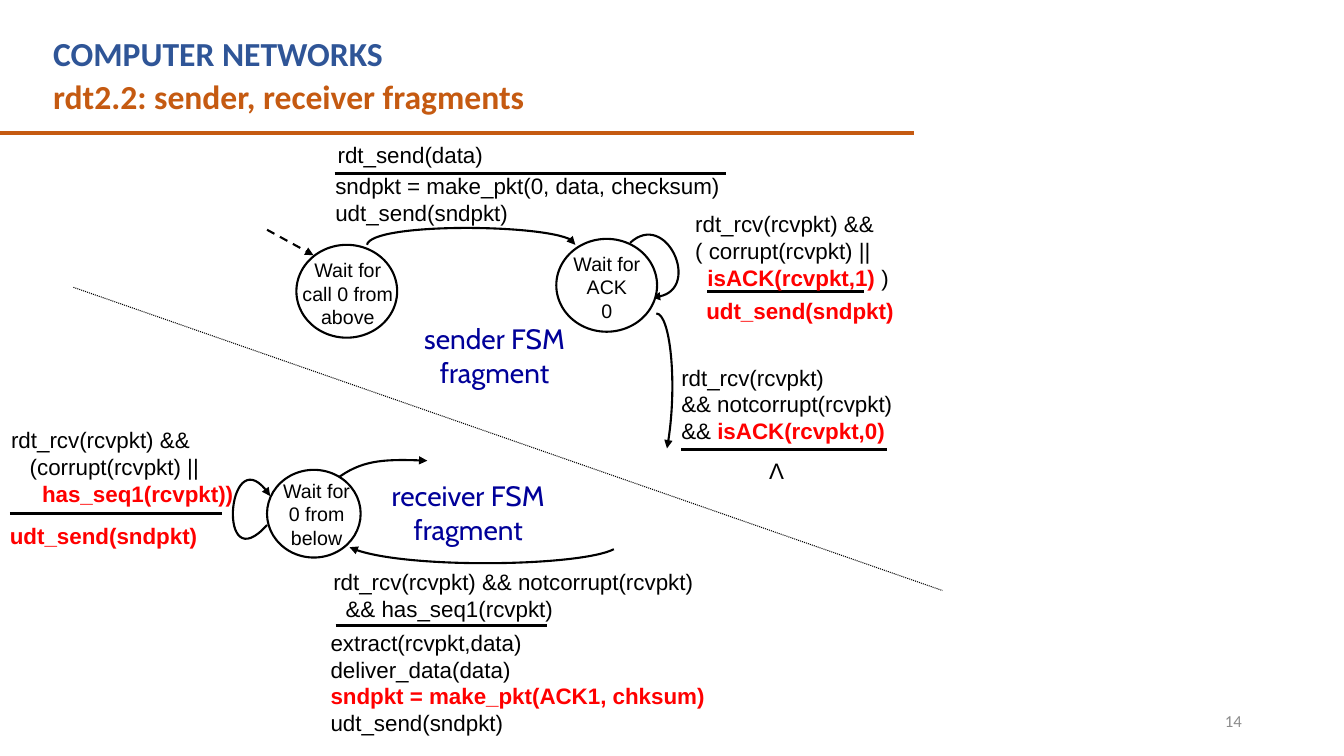
"""Build the rdt2.2 sender and receiver state machine slide."""
from dataclasses import dataclass

from lxml import etree
from pptx import Presentation
from pptx.dml.color import RGBColor
from pptx.enum.dml import MSO_LINE
from pptx.enum.shapes import MSO_CONNECTOR, MSO_SHAPE
from pptx.enum.text import MSO_ANCHOR, PP_ALIGN
from pptx.oxml.ns import qn
from pptx.util import Cm, Pt

LEFT, CENTER, RIGHT = PP_ALIGN.LEFT, PP_ALIGN.CENTER, PP_ALIGN.RIGHT
TOP, MIDDLE = MSO_ANCHOR.TOP, MSO_ANCHOR.MIDDLE
DASH, DOTS = MSO_LINE.DASH, MSO_LINE.ROUND_DOT
STRAIGHT, OVAL = MSO_CONNECTOR.STRAIGHT, MSO_SHAPE.OVAL


@dataclass(frozen=True)
class Theme:
    black: RGBColor = RGBColor(0, 0, 0)
    white: RGBColor = RGBColor(255, 255, 255)
    red: RGBColor = RGBColor(255, 0, 0)
    navy: RGBColor = RGBColor(0, 0, 0x99)
    blue: RGBColor = RGBColor(0x2F, 0x55, 0x97)
    orange: RGBColor = RGBColor(0xC5, 0x5A, 0x11)
    gray: RGBColor = RGBColor(0x8C, 0x8C, 0x8C)
    heading: Pt = Pt(24)
    caption: Pt = Pt(20)
    code: Pt = Pt(16)
    state: Pt = Pt(14)
    number: Pt = Pt(12)
    hairline: Pt = Pt(0.75)
    outline: Pt = Pt(1.5)
    bar: Pt = Pt(2.25)
    rule: Pt = Pt(3)


theme = Theme()
STYLES = {
    "course": ({"name": "Calibri", "size": theme.heading, "bold": True}, theme.blue, LEFT, TOP),
    "title": ({"name": "Calibri", "size": theme.heading, "bold": True}, theme.orange, LEFT, TOP),
    "code": ({"name": "Arial", "size": theme.code, "bold": False}, theme.black, LEFT, TOP),
    "symbol": ({"name": "Arial", "size": theme.code, "bold": False}, theme.black, CENTER, TOP),
    "state": ({"name": "Arial", "size": theme.state, "bold": False}, theme.black, CENTER, TOP),
    "caption": ({"name": "Cabin", "size": theme.caption, "bold": False}, theme.navy, CENTER, TOP),
    "number": ({"name": "Calibri", "size": theme.number, "bold": False}, theme.gray, RIGHT, MIDDLE),
}


def draw_line(shape, color, width, dash=None, arrow=False):
    """Format an outline, with an optional dash and arrowhead at its end."""
    shape.line.color.rgb = color
    for name, value in {"width": width, "dash_style": dash}.items():
        setattr(shape.line, name, value)
    if arrow:
        etree.SubElement(shape.line._get_or_add_ln(), qn("a:tailEnd"), type="triangle")


def add_label(page, style, frame, lines):
    """Write (indent, text) lines; text between asterisks is bold red."""
    font_values, color, align, anchor = STYLES[style]
    box = page.shapes.add_textbox(*map(Cm, frame))
    box.text_frame.word_wrap = True
    box.text_frame.vertical_anchor = anchor
    for row, (indent, text) in enumerate(lines):
        para = box.text_frame.paragraphs[0] if row == 0 else box.text_frame.add_paragraph()
        para.alignment = align
        if indent:
            para._p.get_or_add_pPr().set("marL", str(Cm(indent)))
        for part, words in enumerate(text.split("*")):
            if not words:
                continue
            span = para.add_run()
            span.text = words
            for name, value in font_values.items():
                setattr(span.font, name, value)
            span.font.color.rgb = color
            if part % 2:
                span.font.bold = True
                span.font.color.rgb = theme.red


deck = Presentation()
deck.slide_width, deck.slide_height = Cm(33.87), Cm(19.05)
page = deck.slides.add_slide(deck.slide_layouts[6])

action_bars = [
    (8.43, 18.29, 4.37),
    (17.83, 21.77, 7.34),
    (17.17, 22.35, 11.33),
    (8.46, 13.79, 15.77),
    (0.25, 5.59, 12.95),
]
lines = [((left, y, right, y), (theme.black, theme.bar)) for left, right, y in action_bars]
lines += [
    ((0, 3.35, 23.04, 3.35), (theme.orange, theme.rule)),
    ((6.73, 5.79, 7.9, 6.43), (theme.black, theme.outline, DASH, True)),
    ((1.85, 7.24, 23.75, 14.88), (theme.black, theme.hairline, DOTS)),
]
for ends, line_format in lines:
    connector = page.shapes.add_connector(STRAIGHT, *map(Cm, ends))
    draw_line(connector, *line_format)
    etree.SubElement(connector._element.spPr, qn("a:effectLst"))

transitions = [
    [(9.25, 6.17), (9.35, 5.61), (14.5, 5.64), (14.5, 6.17)],
    [(15.88, 6.12), (16.79, 5.28), (17.78, 7.47), (16.43, 7.49)],
    [(16.54, 7.9), (16.89, 7.9), (17.09, 9.78), (16.81, 11.3)],
    [(8.48, 12.07), (9.09, 11.61), (9.7, 11.56), (10.77, 11.61)],
    [(15.47, 13.84), (14.63, 14.27), (9.98, 14.35), (8.81, 13.79)],
    [(6.73, 13.23), (5.46, 14.66), (5.74, 10.87), (6.81, 12.5)],
]
for transition in transitions:
    start, *controls = [(Cm(x), Cm(y)) for x, y in transition]
    builder = page.shapes.build_freeform(*start)
    builder.add_line_segments(controls, close=False)
    arc = builder.convert_to_shape()
    arc.shadow.inherit = False
    arc.fill.background()
    draw_line(arc, theme.black, theme.outline, arrow=True)
    outline = arc._element.find(".//" + qn("a:path"))
    segments = outline.findall(qn("a:lnTo"))
    bezier = etree.SubElement(outline, qn("a:cubicBezTo"))
    for segment in segments:
        bezier.append(segment[0])
        outline.remove(segment)

states = [
    ((7.47, 6.17, 2.54, 2.34), (7.29, 6.38, 2.95, 1.7), ["Wait for call 0 from above"]),
    ((14.02, 6.02, 2.54, 2.34), (13.82, 6.22, 2.95, 1.7), ["Wait for ACK", "0"]),
    ((6.73, 11.84, 2.36, 2.21), (6.86, 11.94, 2.24, 1.7), ["Wait for", "0 from below"]),
]
for circle_frame, text_frame, names in states:
    circle = page.shapes.add_shape(OVAL, *map(Cm, circle_frame))
    circle.shadow.inherit = False
    circle.fill.solid()
    circle.fill.fore_color.rgb = theme.white
    draw_line(circle, theme.black, theme.outline)
    add_label(page, "state", text_frame, [(0, name) for name in names])

labels = [
    ("course", (1.09, 0.71, 20.83, 1.27), [(0, "COMPUTER NETWORKS")]),
    ("title", (1.09, 1.8, 22.23, 1.27), [(0, "rdt2.2: sender, receiver fragments")]),
    ("code", (8.26, 3.43, 4.8, 0.79), [(0, "rdt_send(data)")]),
    ("code", (8.2, 4.22, 10.34, 1.12),
     [(0, "sndpkt = make_pkt(0, data, checksum)"), (0, "udt_send(sndpkt)")]),
    ("code", (17.27, 5.18, 7.54, 1.57),
     [(0, "rdt_rcv(rcvpkt) &&"), (0, "( corrupt(rcvpkt) ||"), (0.31, "*isACK(rcvpkt,1)* )")]),
    ("code", (17.55, 7.37, 5.89, 1.12), [(0, "*udt_send(sndpkt)*")]),
    ("code", (16.92, 9.04, 6.71, 1.57),
     [(0, "rdt_rcv(rcvpkt)"), (0, "&& notcorrupt(rcvpkt)"), (0, "&& *isACK(rcvpkt,0)*")]),
    ("symbol", (19.05, 11.4, 1.04, 0.94), [(0, "Λ")]),
    ("caption", (10.41, 7.98, 4.11, 1.96), [(0, "sender FSM"), (0, "fragment")]),
    ("caption", (9.55, 11.94, 4.5, 1.96), [(0, "receiver FSM"), (0, "fragment")]),
    ("code", (0.03, 10.62, 6.55, 1.78),
     [(0, "rdt_rcv(rcvpkt) &&"), (0.47, "(corrupt(rcvpkt) ||"), (0.78, "*has_seq1(rcvpkt))*")]),
    ("code", (0, 13.03, 5.66, 1.14), [(0, "*udt_send(sndpkt)*")]),
    ("code", (8.15, 14.2, 10.95, 1.57),
     [(0, "rdt_rcv(rcvpkt) && notcorrupt(rcvpkt)"), (0.31, "&& has_seq1(rcvpkt)")]),
    ("code", (8.08, 15.72, 11.61, 1.93),
     [(0, "extract(rcvpkt,data)"), (0, "deliver_data(data)"),
      (0, "*sndpkt = make_pkt(ACK1, chksum)*"), (0, "udt_send(sndpkt)")]),
    ("number", (23.93, 17.65, 7.62, 1.02), [(0, "14")]),
]
for style, frame, text_lines in labels:
    add_label(page, style, frame, text_lines)

deck.save("out.pptx")
